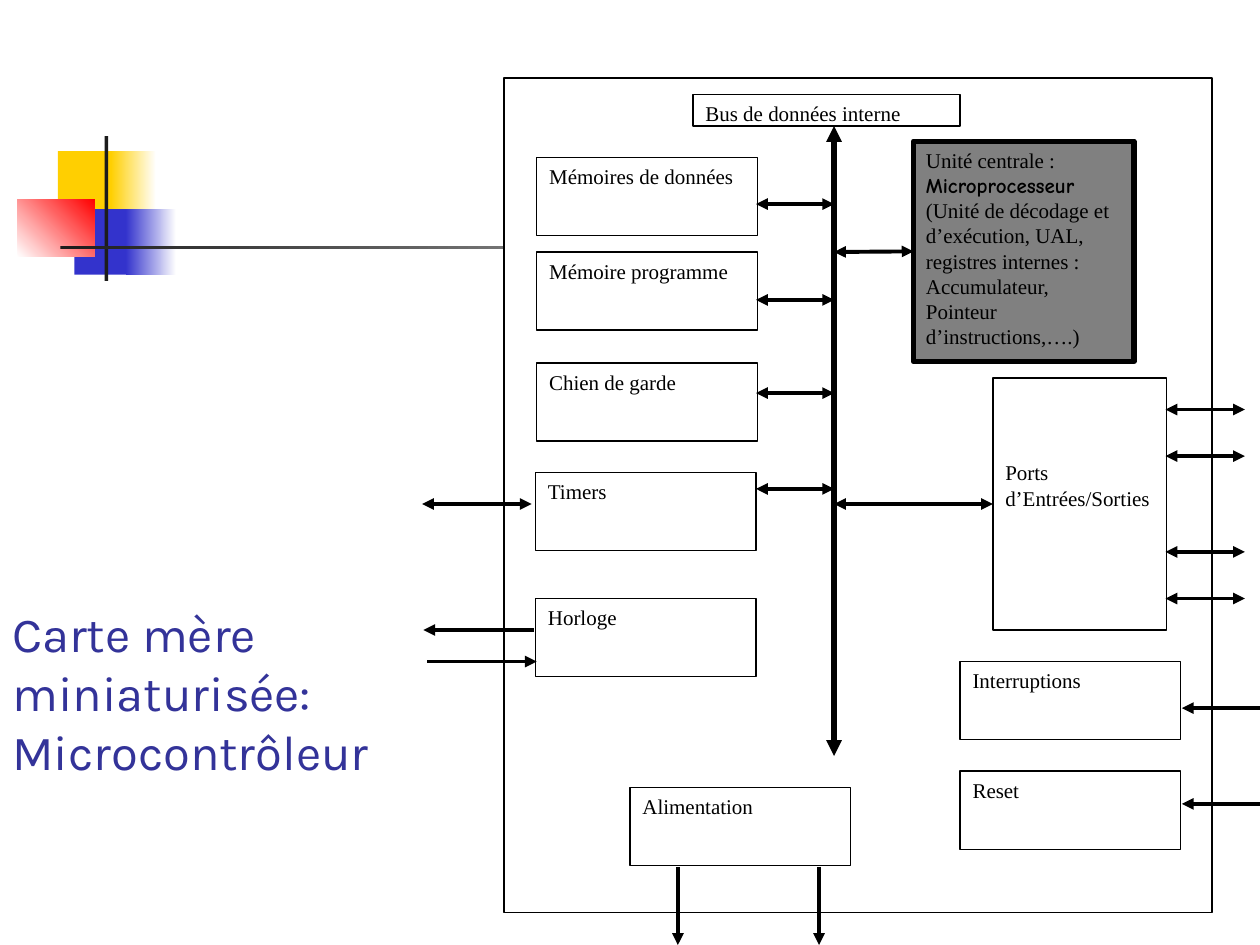
"""Build a slide showing the blocks of a microcontroller around its internal bus."""
from pptx import Presentation
from pptx import util as u
from pptx.dml.color import RGBColor
from pptx.enum import shapes, text
from pptx.oxml.ns import qn
from lxml import etree

BLACK = RGBColor(0x00, 0x00, 0x00)
WHITE = RGBColor(0xFF, 0xFF, 0xFF)
GREY = RGBColor(0x80, 0x80, 0x80)
CHARCOAL = RGBColor(0x1C, 0x1C, 0x1C)
YELLOW = RGBColor(0xFF, 0xCF, 0x01)
BLUE = RGBColor(0x33, 0x33, 0xCC)
RED = RGBColor(0xFF, 0x00, 0x00)
NAVY = RGBColor(0x33, 0x33, 0x99)
BUS_X = 6.62
BLOCK_SIZE = (1.75, 0.62)


class Diagram:
    """Holds the text style and the slide, and draws each kind of element."""

    def __init__(self, slide, font="Times New Roman", size=12):
        self.slide, self.font, self.size = slide, font, size

    def panel(self, left, top, width, height, *colours, angle=0):
        shape = self.slide.shapes.add_shape(
            shapes.MSO_SHAPE.RECTANGLE, *map(u.Inches, (left, top, width, height)))
        shape.shadow.inherit = False
        shape.line.fill.background()
        if len(colours) == 1:
            shape.fill.solid()
            shape.fill.fore_color.rgb = colours[0]
        else:
            shape.fill.gradient()
            shape.fill.gradient_angle = angle
            for stop, colour in zip(shape.fill.gradient_stops, colours):
                stop.color.rgb = colour
        return shape

    def block(self, left, top, width, height, lines=(), fill=WHITE, weight=0.75):
        box = self.panel(left, top, width, height, fill)
        box.line.color.rgb = BLACK
        box.line.width = u.Pt(weight)
        frame = box.text_frame
        frame.word_wrap = True
        frame.vertical_anchor = text.MSO_ANCHOR.TOP
        for index, line in enumerate(lines):
            para = frame.add_paragraph() if index else frame.paragraphs[0]
            para.alignment = text.PP_ALIGN.LEFT
            para.font.size = u.Pt(self.size)
            para.font.color.rgb = BLACK
            if isinstance(line, str):
                para.font.name = self.font
                para.add_run().text = line
                continue
            for words, font, bold in line:
                span = para.add_run()
                span.text = words
                span.font.name, span.font.bold = font, bold
        return box

    def arrow(self, start, end, both=True, weight=2.25, target=None):
        line = self.slide.shapes.add_connector(
            shapes.MSO_CONNECTOR.STRAIGHT, *map(u.Inches, (*start, *end)))
        line.line.color.rgb = BLACK
        line.line.width = u.Pt(weight)
        outline = line.line._get_or_add_ln()
        for tag in ("a:headEnd", "a:tailEnd") if both else ("a:tailEnd",):
            etree.SubElement(outline, qn(tag), type="triangle")
        etree.SubElement(line._element.spPr, qn("a:effectLst"))
        if target is not None:
            line.end_connect(target, 1)

    def title(self, left, top, width, height, words):
        box = self.slide.shapes.add_textbox(*map(u.Inches, (left, top, width, height)))
        frame = box.text_frame
        frame.word_wrap = True
        frame.vertical_anchor = text.MSO_ANCHOR.BOTTOM
        para = frame.paragraphs[0]
        para.font.name, para.font.size = "Karla", u.Pt(28)
        para.font.color.rgb = NAVY
        para.add_run().text = words


def main():
    deck = Presentation()
    deck.slide_width, deck.slide_height = u.Inches(10), u.Inches(7.5)
    page = Diagram(deck.slides.add_slide(deck.slide_layouts[6]))

    page.panel(0.46, 1.2, 0.48, 0.52, YELLOW)
    page.panel(0.88, 1.2, 0.36, 0.52, YELLOW, WHITE)
    page.panel(0.59, 1.66, 0.46, 0.52, BLUE)
    page.panel(1, 1.66, 0.4, 0.52, BLUE, WHITE)
    page.panel(0.14, 1.58, 0.61, 0.46, WHITE, RED, angle=45)
    page.panel(0.83, 1.08, 0.03, 1.15, CHARCOAL)
    page.panel(0.48, 1.95, 9, 0.03, CHARCOAL, WHITE)
    page.title(0, 5.72, 3.07, 0.52, "Carte mère miniaturisée: Microcontrôleur")

    page.block(4, 0.62, 5.62, 6.62)
    for left, top, label in (
        (4.26, 1.25, "Mémoires de données"),
        (4.26, 2, "Mémoire programme"),
        (4.26, 2.88, "Chien de garde"),
        (4.25, 3.75, "Timers"),
        (4.25, 4.75, "Horloge"),
        (5, 6.25, "Alimentation"),
        (7.62, 5.25, "Interruptions"),
        (7.62, 6.12, "Reset"),
    ):
        page.block(left, top, *BLOCK_SIZE, [label])
    processor = page.block(7.25, 1.12, 1.75, 1.75, [[
        ("Unité centrale : ", page.font, False),
        ("Microprocesseur ", "Comic Neue", True),
        ("(Unité de décodage et d’exécution, UAL, registres internes : "
         "Accumulateur, Pointeur d’instructions,….)", page.font, False),
    ]], fill=GREY, weight=3)
    ports = page.block(7.88, 3, 1.38, 2, ["Ports", "d’Entrées/Sorties"])
    ports.text_frame.margin_top = u.Inches(0.65)

    page.arrow((BUS_X, 1), (BUS_X, 6), weight=3)
    page.block(5.5, 0.75, 2.12, 0.25, ["Bus de données interne"])
    for y in (1.62, 2.38, 3.12, 3.88):
        page.arrow((6, y), (BUS_X, y))
    page.arrow((BUS_X, 2), (7.25, 2), target=processor)
    page.arrow((BUS_X, 4), (7.88, 4), target=ports)
    for y in (3.25, 3.62, 4.38, 4.75):
        page.arrow((9.25, y), (9.88, y))
    for x in (5.38, 6.5):
        page.arrow((x, 6.88), (x, 7.5), both=False)
    for y in (5.62, 6.38):
        page.arrow((10, y), (9.38, y), both=False)
    page.arrow((4.22, 4), (3.35, 4))
    page.arrow((4.24, 5), (3.36, 5), both=False)
    page.arrow((3.39, 5.25), (4.26, 5.25), both=False)

    deck.save("out.pptx")


if __name__ == "__main__":
    main()
